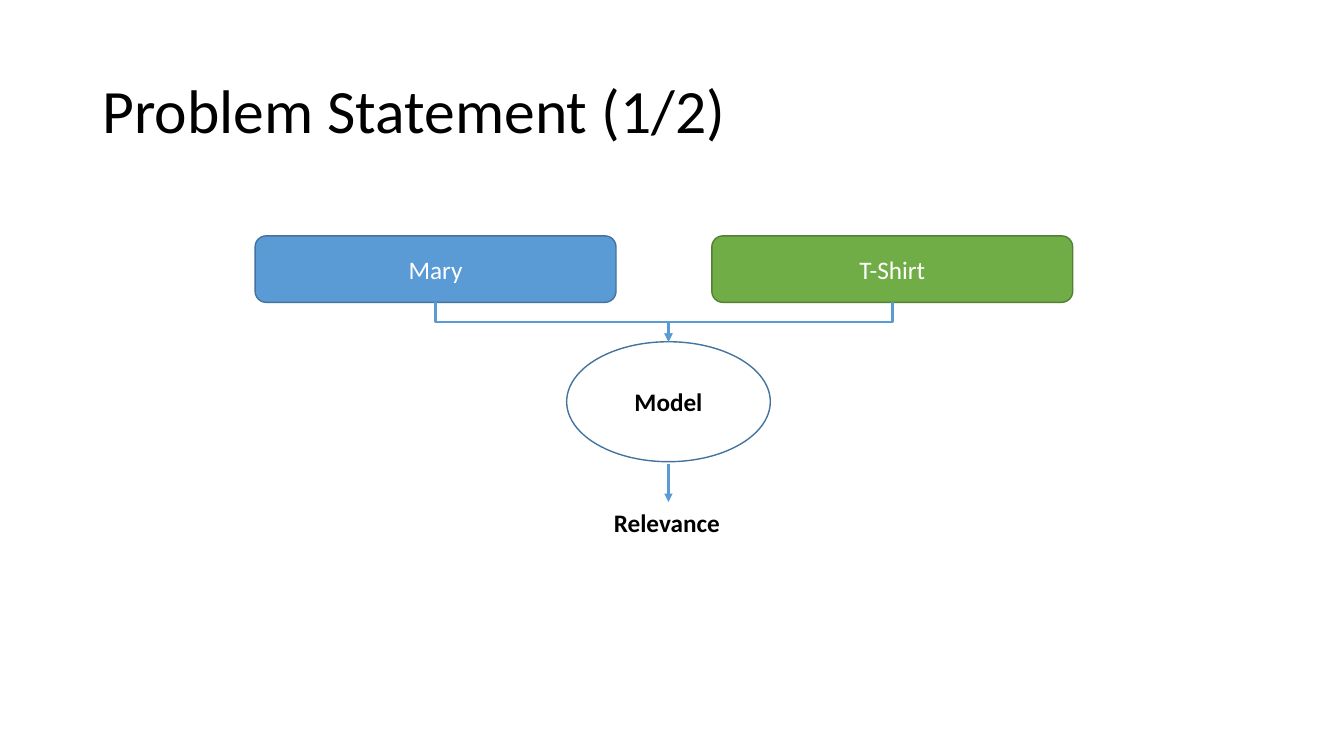
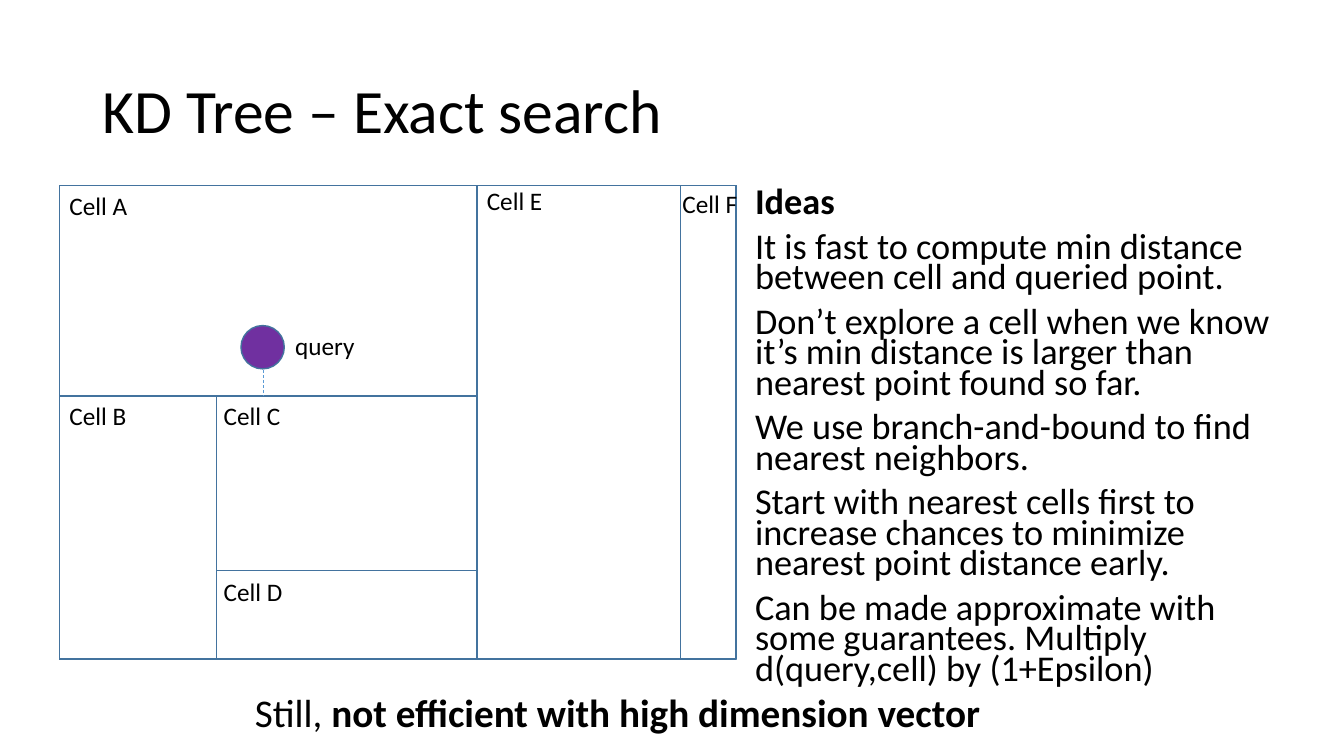
from lxml import etree
from pptx import Presentation
from pptx.dml.color import RGBColor
from pptx.enum.dml import MSO_LINE
from pptx.enum.shapes import MSO_CONNECTOR as Connector, MSO_SHAPE as Shape
from pptx.enum.text import MSO_ANCHOR as Anchor, PP_ALIGN as Align
from pptx.oxml.ns import qn
from pptx.util import Inches, Pt

# Shared style
FONT = "Calibri"
BLACK, WHITE = "000000", "FFFFFF"
BLUE, DARK_BLUE = "5B9BD5", "43739E"
GREEN, DARK_GREEN = "70AD47", "538035"
PURPLE = "7030A0"


def color(value):
    return RGBColor.from_string(value)


def write(frame, paragraphs, size=18, ink=BLACK, align=None, spacing=None, before=0):
    """Fill a frame; each paragraph is a list of (text, bold) spans."""
    for index, spans in enumerate(paragraphs):
        para = frame.paragraphs[0] if index == 0 else frame.add_paragraph()
        para.alignment = align
        para.line_spacing = spacing
        if index:
            para.space_before = Pt(before)
        for text, bold in spans:
            span = para.add_run()
            span.text = text
            span.font.name = FONT
            span.font.size = Pt(size)
            span.font.bold = bold
            span.font.color.rgb = color(ink)


def add_text(page, area, paragraphs, wrap=True, anchor=Anchor.TOP, **style):
    box = page.shapes.add_textbox(*map(Inches, area))
    box.text_frame.word_wrap = wrap
    box.text_frame.vertical_anchor = anchor
    write(box.text_frame, paragraphs, **style)


def add_label(page, text, left, top, width=0.78, bold=False):
    add_text(page, (left, top, width, 0.4), [[(text, bold)]], wrap=False)


def add_figure(page, kind, area, fill=None, line=DARK_BLUE, text=None, bold=False, ink=BLACK):
    figure = page.shapes.add_shape(kind, *map(Inches, area))
    figure.shadow.inherit = False
    if fill:
        figure.fill.solid()
        figure.fill.fore_color.rgb = color(fill)
    else:
        figure.fill.background()
    figure.line.color.rgb = color(line)
    figure.line.width = Pt(1)
    if text:
        figure.text_frame.vertical_anchor = Anchor.MIDDLE
        write(figure.text_frame, [[(text, bold)]], ink=ink, align=Align.CENTER)


def add_line(page, start, end, kind=Connector.STRAIGHT, width=2, dashed=False, arrow=True):
    line = page.shapes.add_connector(kind, *map(Inches, (*start, *end)))
    line.line.color.rgb = color(BLUE)
    line.line.width = Pt(width)
    if dashed:
        line.line.dash_style = MSO_LINE.DASH
    properties = line._element.spPr
    if arrow:
        tail = etree.SubElement(properties.find(qn("a:ln")), qn("a:tailEnd"))
        tail.set("type", "triangle")
    etree.SubElement(properties, qn("a:effectLst"))
    return line


def add_elbow(page, start, end):
    """Bent arrow that leaves downwards: a sideways elbow turned a quarter."""
    (x1, y1), (x2, y2) = start, end
    middle_x, middle_y = (x1 + x2) / 2, (y1 + y2) / 2
    half_width, half_height = (y2 - y1) / 2, abs(x2 - x1) / 2
    rightwards = x2 > x1
    side = half_width if rightwards else -half_width
    line = add_line(page, (middle_x + side, middle_y - half_height),
                    (middle_x - side, middle_y + half_height), Connector.ELBOW)
    quarter_turns = 3 if rightwards else 1
    line._element.spPr.find(qn("a:xfrm")).set("rot", str(quarter_turns * 90 * 60000))


def add_page(deck, title):
    page = deck.slides.add_slide(deck.slide_layouts[6])
    add_text(page, (0.92, 0.4, 11.5, 1.45), [[(title, False)]],
             anchor=Anchor.MIDDLE, size=44, spacing=0.9)
    return page


def build_problem(deck):
    page = add_page(deck, "Problem Statement (1/2)")
    center, model_top = 6.63, 3.39
    add_figure(page, Shape.OVAL, (5.62, model_top, 2.02, 1.19), WHITE, text="Model", bold=True)

    # Inputs joined to the model
    width, top, height = 3.58, 2.34, 0.66
    for text, left, fill, line in (("Mary", 2.53, BLUE, DARK_BLUE),
                                   ("T-Shirt", 7.06, GREEN, DARK_GREEN)):
        add_figure(page, Shape.ROUNDED_RECTANGLE, (left, top, width, height),
                   fill, line, text, ink=WHITE)
        add_elbow(page, (left + width / 2, top + height), (center, model_top))

    # Output
    add_line(page, (center, 4.6), (center, 4.98))
    add_label(page, "Relevance", 5.99, 4.98, width=1.26, bold=True)


def build_tree(deck):
    page = add_page(deck, "KD Tree – Exact search")
    ideas = (
        "It is fast to compute min distance between cell and queried point.",
        "Don’t explore a cell when we know it’s min distance is larger than "
        "nearest point found so far.",
        "We use branch-and-bound to find nearest neighbors.",
        "Start with nearest cells first to increase chances to minimize "
        "nearest point distance early.",
        "Can be made approximate with some guarantees. Multiply "
        "d(query,cell) by (1+Epsilon)",
    )
    add_text(page, (7.39, 1.84, 5.63, 5.26),
             [[("Ideas", True)], *([(idea, False)] for idea in ideas)],
             size=25.9, spacing=0.7, before=10)

    # Nested regions, each given by its left, top and right edge
    top, bottom = 1.84, 6.54
    left, split_b, split_e, split_f, right = 0.59, 2.15, 4.73, 6.75, 7.3
    split_a, split_d = 3.93, 5.66
    for x1, y1, x2 in ((left, top, split_e), (left, split_a, split_e),
                       (split_b, split_a, split_e), (split_b, split_d, split_e),
                       (left, top, right), (split_f, top, right)):
        add_figure(page, Shape.RECTANGLE, (x1, y1, x2 - x1, bottom - y1))
    for name, x, y in (("A", left, top), ("B", left, 3.92), ("C", 2.12, 3.92),
                       ("D", 2.12, 5.67), ("E", split_e, 1.79), ("F", 6.67, 1.82)):
        add_label(page, f"Cell {name}", x, y)

    # Query point and its distance to the nearest cell
    add_figure(page, Shape.OVAL, (2.39, 3.23, 0.43, 0.43), PURPLE)
    add_label(page, "query", 2.83, 3.23, width=0.8)
    add_line(page, (2.61, 3.67), (2.61, split_a), width=0.5, dashed=True, arrow=False)

    # Conclusion
    add_text(page, (2.43, 6.83, 10, 0.6),
             [[("Still, ", False), ("not efficient with high dimension vector", True)]],
             size=28, spacing=0.9)


def main():
    deck = Presentation()
    deck.slide_width, deck.slide_height = Inches(13.33), Inches(7.5)
    build_problem(deck)
    build_tree(deck)
    deck.save("out.pptx")


if __name__ == "__main__":
    main()
